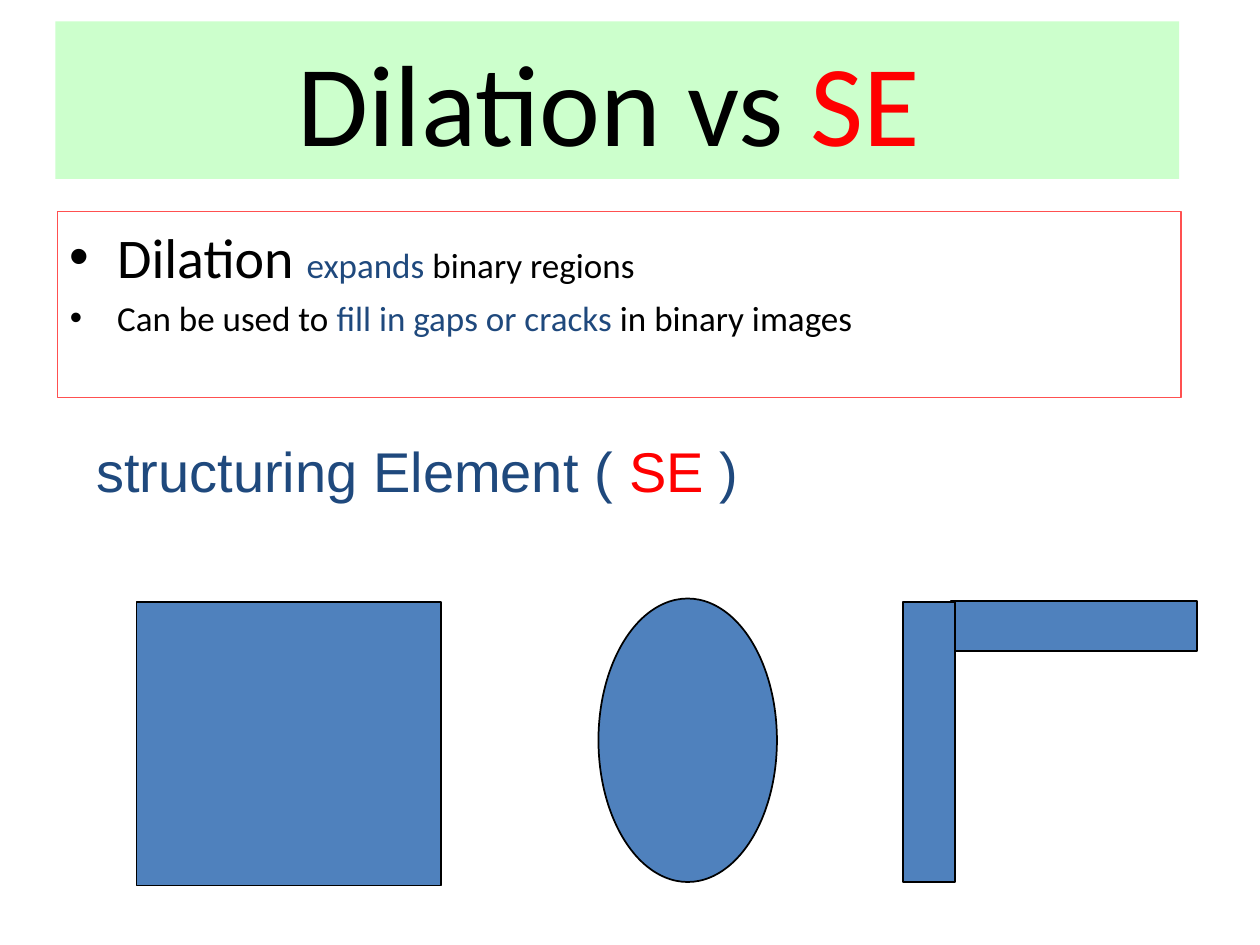
import pptx
import pptx.dml.color
import pptx.enum.shapes
import pptx.enum.text
import pptx.util

Pt = pptx.util.Pt
KIND = pptx.enum.shapes.MSO_SHAPE
TEXT = pptx.enum.text
BLACK, RED, NAVY, BLUE = "000000", "FF0000", "1F497D", "4F81BD"


def paint(color, value):
    color.rgb = pptx.dml.color.RGBColor.from_string(value)


def write(para, face, runs):
    """Add (text, size, colour) runs to a paragraph."""
    for text, size, color in runs:
        run = para.add_run()
        run.text = text
        for name, value in {"name": face, "size": Pt(size)}.items():
            setattr(run.font, name, value)
        paint(run.font.color, color)


deck = pptx.Presentation()
deck.slide_width, deck.slide_height = Pt(720), Pt(540)
slide = deck.slides.add_slide(deck.slide_layouts[1])
title, body = slide.placeholders
label = slide.shapes.add_textbox(0, 0, 0, 0)

# Places and frame settings of the text
for shape, place, style in (
    (title, (31.7, 12.2, 642.2, 90), {"vertical_anchor": TEXT.MSO_ANCHOR.MIDDLE, "word_wrap": True}),
    (body, (32.7, 121, 642.2, 106), {"margin_top": Pt(6), "word_wrap": True}),
    (label, (48, 246, 384, 46), {"word_wrap": False}),
):
    shape.left, shape.top, shape.width, shape.height = map(Pt, place)
    style["auto_size"] = TEXT.MSO_AUTO_SIZE.NONE
    for name, value in style.items():
        setattr(shape.text_frame, name, value)

# Title
title.fill.solid()
paint(title.fill.fore_color, "CCFFCC")
head = title.text_frame.paragraphs[0]
head.alignment = TEXT.PP_ALIGN.CENTER
write(head, "Calibri", [("Dilation vs ", 66, BLACK), ("SE", 66, RED), (" ", 44, BLACK)])

# Bullet list
paint(body.line.color, "FF5050")
body.line.width = Pt(0.75)
first = body.text_frame.paragraphs[0]
first.space_before = Pt(0)
write(first, "Calibri", [
    ("Dilation ", 32, BLACK),
    ("expands", 20, NAVY),
    (" binary regions", 20, BLACK),
])
next_line = body.text_frame.add_paragraph()
next_line.space_before = Pt(4)
write(next_line, "Calibri", [
    ("Can be used to ", 20, BLACK),
    ("fill in gaps or cracks", 20, NAVY),
    (" in binary images", 20, BLACK),
])

# Structuring elements
write(label.text_frame.paragraphs[0], "Arial", [
    ("structuring Element ( ", 32, NAVY),
    ("SE", 32, RED),
    (" )", 32, NAVY),
])
for kind, place in (
    (KIND.RECTANGLE, (78, 344, 174, 162)),
    (KIND.OVAL, (342, 342, 102, 162)),
    (KIND.RECTANGLE, (543.6, 343.6, 140.4, 28.4)),
    (KIND.RECTANGLE, (516, 344, 30, 160)),
):
    shape = slide.shapes.add_shape(kind, *map(Pt, place))
    shape.shadow.inherit = False
    shape.fill.solid()
    paint(shape.fill.fore_color, BLUE)
    paint(shape.line.color, BLACK)
    shape.line.width = Pt(1)

deck.save("out.pptx")
